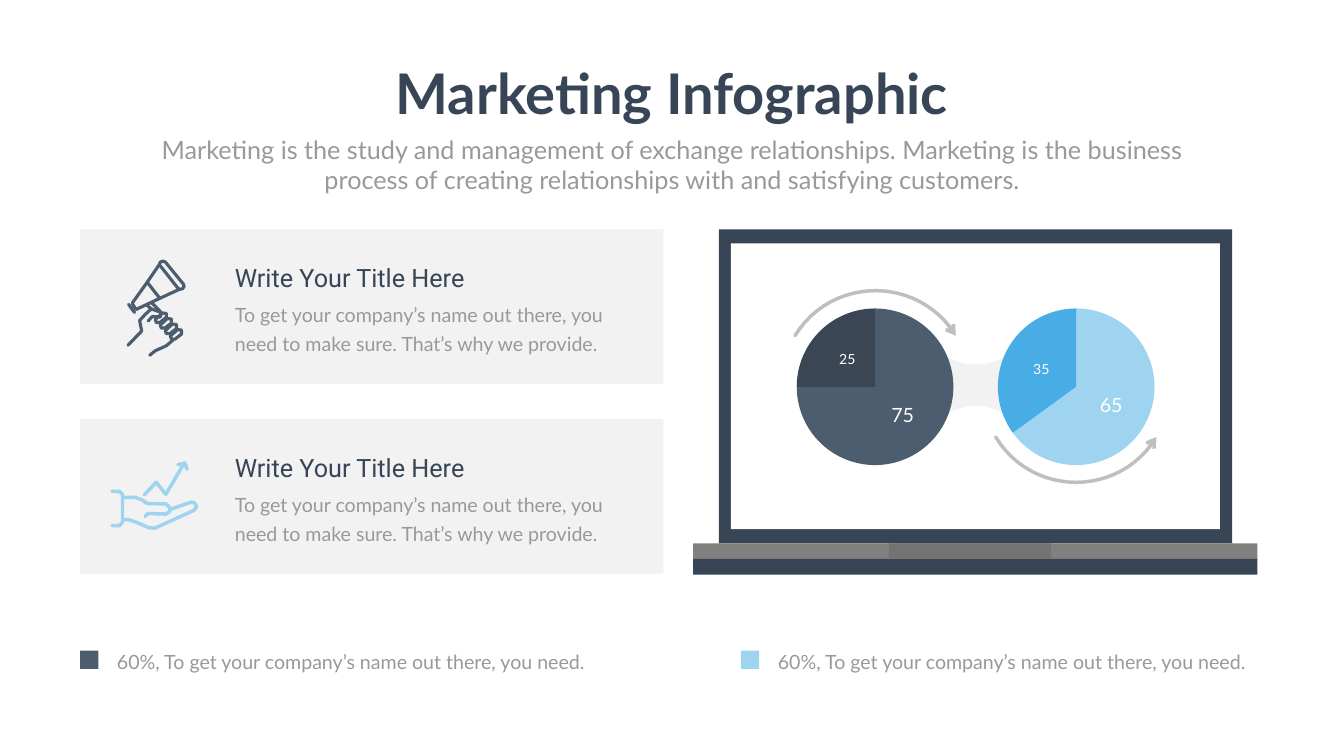
from dataclasses import dataclass
from lxml import etree
from pptx import Presentation
from pptx.chart.data import CategoryChartData
from pptx.dml.color import RGBColor
from pptx.enum.chart import XL_CHART_TYPE, XL_LABEL_POSITION
from pptx.enum.shapes import MSO_SHAPE
from pptx.enum.text import MSO_ANCHOR, MSO_AUTO_SIZE, PP_ALIGN
from pptx.oxml import parse_xml
from pptx.oxml.ns import nsdecls, qn
from pptx.util import Inches, Pt

RECT, PIE, CENTER = MSO_SHAPE.RECTANGLE, XL_CHART_TYPE.PIE, PP_ALIGN.CENTER


@dataclass(frozen=True)
class Theme:
    back: str = "FEFFFE"
    white: str = "FFFFFF"
    navy: str = "374556"
    slate: str = "4D5D70"
    deep: str = "3A4654"
    sky: str = "9FD4F1"
    blue: str = "48ADE4"
    gray: str = "808080"
    notch: str = "737373"
    body: str = "999999"
    font: str = "Lato"
    head_font: str = "Roboto"
    title_size: float = 80
    head_size: float = 36
    body_size: float = 28
    minor_size: float = 20
    leading: float = 40.8


T = Theme()

# Content
TITLE = "Marketing Infographic"
SUBTITLE = ("Marketing is the study and management of exchange relationships. Marketing is the "
            "business process of creating relationships with and satisfying customers.")
CARD_HEAD = "Write Your Title Here"
CARD_BODY = "To get your company’s name out there, you need to make sure. That’s why we provide."
LEGEND = "60%, To get your company’s name out there, you need."
LEGENDS = [(1.59, T.slate), (14.7, T.sky)]
PIES = [(15.67, (75, 25), (T.slate, T.deep)), (19.66, (65, 35), (T.sky, T.blue))]
CARD_TOPS = [4.55 + 3.76 * row for row in range(2)]
LAPTOP = [  # left, top, width, height, colour
    (14.26, 4.55, 10.18, 6.23, T.navy), (14.5, 4.83, 9.7, 5.67, T.white),
    (13.75, 10.78, 11.19, 0.31, T.gray), (13.75, 11.09, 11.19, 0.31, T.navy),
    (17.63, 10.78, 3.22, 0.31, T.notch)]

# Icon strokes, in inches on the slide
FINGER = [(3.08, 6.34), (3.22, 6.21), (3.3, 6.22), (3.3, 6.3), (3.17, 6.4), (3.1, 6.4), (3.08, 6.34)]
MEGAPHONE = [
    [(3.16, 5.25), (3.18, 5.2), (3.23, 5.18), (3.28, 5.2), (3.64, 5.64), (3.65, 5.69),
     (3.62, 5.73), (3.57, 5.74), (3.53, 5.72), (3.16, 5.25)],
    [(3.16, 5.25), (2.92, 5.6), (2.62, 6.02), (2.7, 6.14), (3.17, 5.92), (3.56, 5.74)],
    [(2.92, 5.6), (3.17, 5.92)],
    [(2.55, 6.04), (2.67, 6.2)],
    [(2.92, 6.06), (3, 6.13)],
    [(3.02, 6.02), (3.18, 6.18)],
    [(2.54, 6.85), (2.81, 6.57), (2.77, 6.36), (2.88, 6.24), (3, 6.13), (3.2, 6.2),
     (3.18, 6.29), (3.02, 6.28), (2.94, 6.37)],
    [(2.97, 7.05), (3.08, 6.96), (3.3, 6.86), (3.44, 6.74)],
] + [[(x + 0.1 * i, y + 0.11 * i) for x, y in FINGER] for i in range(4)]
HAND = [
    [(2.22, 9.75), (2.37, 9.75), (2.43, 9.81), (2.43, 10.36), (2.37, 10.43), (2.22, 10.43)],
    [(2.43, 9.87), (2.68, 9.87), (2.8, 9.91), (2.92, 9.99), (3.29, 10), (3.37, 10.07),
     (3.37, 10.15), (3.29, 10.2), (2.93, 10.19), (2.88, 10.25)],
    [(2.43, 10.31), (2.55, 10.31), (2.7, 10.36), (2.95, 10.47), (3.07, 10.48), (3.84, 10.13),
     (3.9, 10.06), (3.86, 9.98), (3.8, 9.96), (3.4, 10.1)],
    [(2.86, 9.82), (3.1, 9.57), (3.29, 9.81), (3.66, 9.18)],
    [(3.53, 9.22), (3.67, 9.19), (3.71, 9.31)]]


def rgb(color):
    return RGBColor.from_string(color)


def set_alpha(fill_parent, percent):
    color = fill_parent.find(".//" + qn("a:srgbClr"))
    etree.SubElement(color, qn("a:alpha")).set("val", str(percent * 1000))


def paint(shape, color, alpha=None):
    shape.shadow.inherit = False
    shape.fill.solid()
    shape.fill.fore_color.rgb = rgb(color)
    shape.line.fill.background()
    if alpha:
        set_alpha(shape.fill._xPr, alpha)


def add_box(slide, left, top, width, height, color, alpha=None):
    box = slide.shapes.add_shape(RECT, *map(Inches, (left, top, width, height)))
    paint(box, color, alpha)


def style_font(font, size, color, name=T.font, bold=False):
    font.name, font.size, font.bold = name, Pt(size), bold
    font.color.rgb = rgb(color)


def write(shape, text, size, color, name=T.font, bold=False, align=None, leading=None, wrap=True):
    frame = shape.text_frame
    frame.text = text
    frame.word_wrap, frame.auto_size = wrap, MSO_AUTO_SIZE.NONE
    frame.vertical_anchor = MSO_ANCHOR.TOP
    paragraph = frame.paragraphs[0]
    paragraph.alignment = align
    if leading:
        paragraph.line_spacing = Pt(leading)
    style_font(paragraph.runs[0].font, size, color, name, bold)


def add_text(slide, left, top, width, height, *args, **kwargs):
    box = slide.shapes.add_textbox(*map(Inches, (left, top, width, height)))
    write(box, *args, **kwargs)
    return box


def bezier(a, b, c, d, steps=24):
    weights = [((1 - t) ** 3, 3 * t * (1 - t) ** 2, 3 * t * t * (1 - t), t ** 3)
               for t in (i / steps for i in range(steps + 1))]
    return [tuple(sum(w * p[axis] for w, p in zip(ws, (a, b, c, d))) for axis in (0, 1))
            for ws in weights]


def add_outline(slide, strokes, close=False):
    paths = [[(Inches(x), Inches(y)) for x, y in stroke] for stroke in strokes]
    builder = slide.shapes.build_freeform(*paths[0][0], scale=1.0)
    for index, points in enumerate(paths):
        if index:
            builder.move_to(*points[0])
        builder.add_line_segments(points[1:], close=close)
    return builder.convert_to_shape()


def add_strokes(slide, strokes, color, width, alpha=None, arrow=False):
    shape = add_outline(slide, strokes)
    shape.shadow.inherit = False
    shape.fill.background()
    shape.line.color.rgb = rgb(color)
    shape.line.width = Pt(width)
    ln = shape._element.spPr.find(qn("a:ln"))
    ln.set("cap", "rnd")
    if alpha:
        set_alpha(ln, alpha)
    etree.SubElement(ln, qn("a:round"))
    if arrow:
        etree.SubElement(ln, qn("a:tailEnd")).set("type", "arrow")


def add_pie(slide, left, values, colors):
    data = CategoryChartData()
    data.categories = ["1", "2"]
    data.add_series("Series 1", values)
    frame = slide.shapes.add_chart(PIE, *map(Inches, (left, 6.12, 3.36, 3.11)), data)
    chart = frame.chart
    chart.has_title = chart.has_legend = False
    style_font(chart.font, 10, T.body, "Calibri")
    plot = chart.plots[0]
    plot.vary_by_categories = True
    for index, (color, size) in enumerate(zip(colors, (T.body_size, T.minor_size))):
        point = plot.series[0].points[index]
        point.format.fill.solid()
        point.format.fill.fore_color.rgb = rgb(color)
        point.format.line.fill.background()
        style_font(point.data_label.font, size, T.white)
        point.data_label.position = XL_LABEL_POSITION.CENTER
    # Fixed plot area inside the frame
    area = chart._chartSpace.find(".//" + qn("c:plotArea"))
    for old in area.findall(qn("c:layout")):
        area.remove(old)
    area.insert(0, parse_xml(
        f'<c:layout {nsdecls("c")}><c:manualLayout><c:layoutTarget val="inner"/>'
        '<c:xMode val="edge"/><c:yMode val="edge"/><c:x val="0.04"/><c:y val="0"/>'
        '<c:w val="0.925"/><c:h val="1"/></c:manualLayout></c:layout>'))


def main():
    prs = Presentation()
    prs.slide_width, prs.slide_height = Inches(26.66), Inches(15)
    slide = prs.slides.add_slide(prs.slide_layouts[5])
    slide.background.fill.solid()
    slide.background.fill.fore_color.rgb = rgb(T.back)

    # Heading
    title = slide.shapes.title
    title.left, title.top, title.width, title.height = map(Inches, (7.61, 1.12, 11.44, 1.45))
    write(title, TITLE, T.title_size, T.navy, bold=True, align=CENTER, wrap=False)
    add_text(slide, 2.92, 2.61, 20.82, 1.31, SUBTITLE, T.head_size, T.body, align=CENTER)

    # Cards with icons
    for top in CARD_TOPS:
        add_box(slide, 1.59, top, 11.57, 3.07, T.gray, alpha=10)
        add_text(slide, 4.56, top + 0.61, 5.72, 0.71, CARD_HEAD, T.head_size, T.navy, T.head_font)
        add_text(slide, 4.56, top + 1.32, 7.88, 1.19, CARD_BODY, T.body_size, T.body,
                 leading=T.leading)
    add_strokes(slide, MEGAPHONE, T.slate, 4.5)
    add_strokes(slide, HAND, T.sky, 5)

    # Laptop
    for part in LAPTOP:
        add_box(slide, *part)

    # Bridge between the pies, curved arrows, pies
    bridge = bezier((18.51, 6.82), (18.9, 7.37), (19.81, 7.37), (20.2, 6.82))
    bridge += [(x, 15.29 - y) for x, y in reversed(bridge)]
    paint(add_outline(slide, [bridge], close=True), T.gray, alpha=10)
    for left, start, peak in ((15.77, 6.66, 5.47), (19.75, 8.67, 9.87)):
        arc = bezier((left, start), (left + 0.73, peak), (left + 2.46, peak), (left + 3.19, start))
        add_strokes(slide, [arc], T.gray, 5, alpha=50, arrow=True)
    for pie in PIES:
        add_pie(slide, *pie)

    # Legend
    for left, color in LEGENDS:
        add_box(slide, left, 12.91, 0.36, 0.36, color)
        label = add_text(slide, left + 0.49, 12.67, 9.87, 0.75, LEGEND, T.body_size, T.body,
                         leading=T.leading).text_frame
        label.margin_left = label.margin_right = Inches(0.24)
        label.margin_top = label.margin_bottom = Inches(0.12)

    prs.save("out.pptx")


if __name__ == "__main__":
    main()
